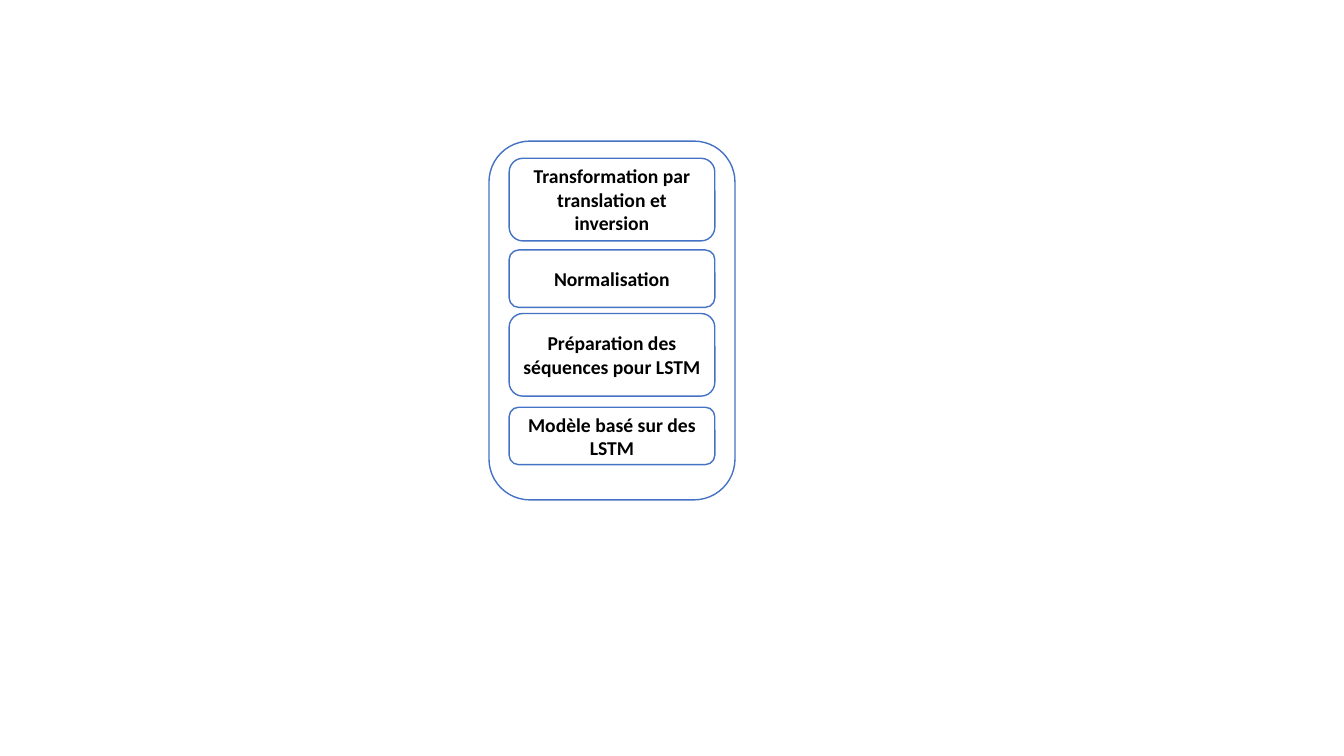
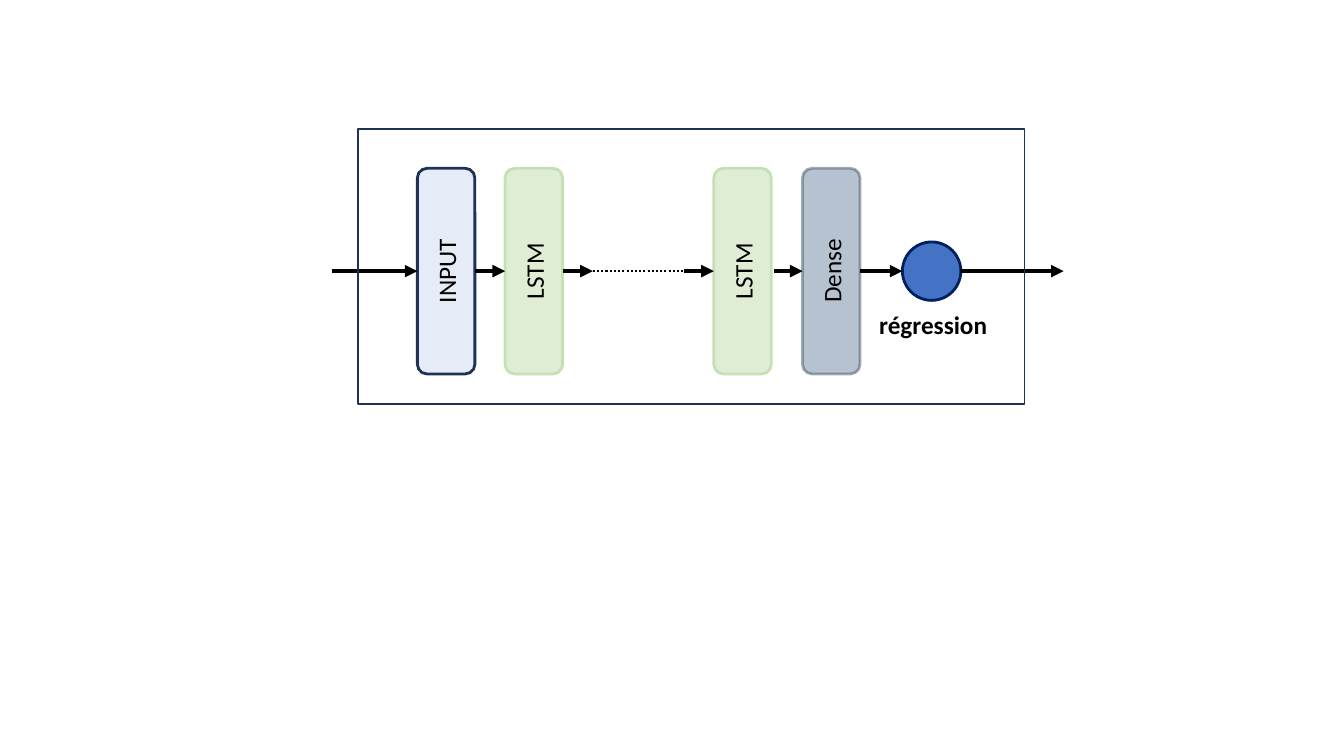
from dataclasses import dataclass

import lxml.etree
import pptx
import pptx.dml.color
import pptx.dml.fill
import pptx.enum.dml
import pptx.enum.shapes
import pptx.enum.text
import pptx.oxml.ns
import pptx.shapes.autoshape
import pptx.slide
import pptx.text.text
import pptx.util

EMU_PER_PX = 9144  # 100 px to the inch
FONT = "Calibri"
BLACK, BLUE, NAVY, DEEP_BLUE = "000000", "4472C4", "1E3256", "002060"
GREEN, GREY_BLUE, SLATE = "C5E0B4", "8497B0", "44546A"
LEFT_SIDE, RIGHT_SIDE = 1, 3
SHAPE = pptx.enum.shapes.MSO_SHAPE
CENTER = pptx.enum.text.PP_ALIGN.CENTER


@dataclass(frozen=True)
class Box:
    left: int
    top: int
    width: int
    height: int


@dataclass(frozen=True)
class Style:
    line: str
    line_pt: float = 1
    fill: str | None = None
    opacity: int = 100
    line_opacity: int = 100


@dataclass(frozen=True)
class Step:
    text: str
    top: int
    height: int


@dataclass(frozen=True)
class Layer:
    text: str
    left: int
    style: Style


@dataclass(frozen=True)
class Link:
    start: int
    end: int
    source: int | None = None  # index of the layer it leaves
    target: int | None = None  # index of the layer it reaches
    dotted: bool = False


# Shared drawing
def px(length: int) -> pptx.util.Emu:
    return pptx.util.Emu(length * EMU_PER_PX)


def add_xml(parent: lxml.etree.ElementBase, tag: str, **attributes: str) -> None:
    lxml.etree.SubElement(parent, pptx.oxml.ns.qn(tag), attributes)


def paint(fill: pptx.dml.fill.FillFormat, color: str, opacity: int = 100) -> None:
    fill.solid()
    fill.fore_color.rgb = pptx.dml.color.RGBColor.from_string(color)
    if opacity < 100:
        rgb = fill._xPr.find(".//" + pptx.oxml.ns.qn("a:srgbClr"))
        add_xml(rgb, "a:alpha", val=str(opacity * 1000))


def write(frame: pptx.text.text.TextFrame, text: str, size: int, bold: bool) -> None:
    frame.word_wrap = True
    paragraph = frame.paragraphs[0]
    paragraph.alignment = CENTER
    run = paragraph.add_run()
    run.text = text
    run.font.name = FONT
    run.font.size = pptx.util.Pt(size)
    run.font.bold = bold
    paint(run.font.fill, BLACK)


def add_outline(slide: pptx.slide.Slide, kind: pptx.enum.shapes.MSO_SHAPE,
                box: Box, style: Style) -> pptx.shapes.autoshape.Shape:
    shape = slide.shapes.add_shape(
        kind, px(box.left), px(box.top), px(box.width), px(box.height))
    shape.shadow.inherit = False
    if style.fill:
        paint(shape.fill, style.fill, style.opacity)
    else:
        shape.fill.background()
    shape.line.width = pptx.util.Pt(style.line_pt)
    paint(shape.line.fill, style.line, style.line_opacity)
    shape.text_frame.vertical_anchor = pptx.enum.text.MSO_ANCHOR.MIDDLE
    return shape


def add_link(slide: pptx.slide.Slide, link: Link, y: int,
             layers: list[pptx.shapes.autoshape.Shape]) -> None:
    connector = slide.shapes.add_connector(
        pptx.enum.shapes.MSO_CONNECTOR.STRAIGHT,
        px(link.start), px(y), px(link.end), px(y))
    if link.source is not None:
        connector.begin_connect(layers[link.source], RIGHT_SIDE)
    if link.target is not None:
        connector.end_connect(layers[link.target], LEFT_SIDE)
    paint(connector.line.fill, BLACK)
    if link.dotted:
        connector.line.width = pptx.util.Pt(1.5)
        connector.line.dash_style = pptx.enum.dml.MSO_LINE.ROUND_DOT
    else:
        connector.line.width = pptx.util.Pt(3)
        add_xml(connector.line._get_or_add_ln(), "a:tailEnd", type="triangle")
    add_xml(connector._element.spPr, "a:effectLst")


# Slide 1: processing steps
STEPS = [
    Step("Transformation par translation et inversion", 157, 82),
    Step("Normalisation", 248, 57),
    Step("Préparation des séquences pour LSTM", 311, 82),
    Step("Modèle basé sur des LSTM", 404, 57),
]


def build_pipeline(slide: pptx.slide.Slide) -> None:
    outline = Style(BLUE)
    add_outline(slide, SHAPE.ROUNDED_RECTANGLE, Box(485, 140, 244, 356), outline)
    for step in STEPS:
        box = Box(505, step.top, 204, step.height)
        shape = add_outline(slide, SHAPE.ROUNDED_RECTANGLE, box, outline)
        write(shape.text_frame, step.text, 14, True)


# Slide 2: network layers
AXIS_Y = 269
LAYER_WIDTH, LAYER_HEIGHT = 57, 204
NODE_SIZE = 58
LSTM_STYLE = Style(GREEN, 2, GREEN, 55)
LAYERS = [
    Layer("INPUT", 414, Style(NAVY, 2, BLUE, 13)),
    Layer("LSTM", 501, LSTM_STYLE),
    Layer("LSTM", 708, LSTM_STYLE),
    Layer("Dense", 796, Style(SLATE, 2, GREY_BLUE, 58, 50)),
]
LINKS = [
    Link(329, 414, target=0),
    Link(471, 501, source=0, target=1),
    Link(558, 588, source=1),
    Link(588, 678, dotted=True),
    Link(678, 708, target=2),
    Link(768, 796, target=3),
    Link(853, 895, source=3),
    Link(952, 1055),
]


def build_network(slide: pptx.slide.Slide) -> None:
    layers = []
    for layer in LAYERS:
        box = Box(layer.left, AXIS_Y - LAYER_HEIGHT // 2, LAYER_WIDTH, LAYER_HEIGHT)
        shape = add_outline(slide, SHAPE.ROUNDED_RECTANGLE, box, layer.style)
        write(shape.text_frame, layer.text, 18, False)
        shape.text_frame._txBody.bodyPr.set("vert", "vert270")
        layers.append(shape)

    # Output node and its label
    node = Box(895, AXIS_Y - NODE_SIZE // 2, NODE_SIZE, NODE_SIZE)
    add_outline(slide, SHAPE.OVAL, node, Style(DEEP_BLUE, 2, BLUE))
    label = slide.shapes.add_textbox(px(853), px(302), px(145), px(40))
    write(label.text_frame, "régression", 18, True)

    # Data flow and frame
    for link in LINKS:
        add_link(slide, link, AXIS_Y, layers)
    add_outline(slide, SHAPE.RECTANGLE, Box(355, 128, 661, 273), Style(NAVY))


def main() -> None:
    deck = pptx.Presentation()
    deck.slide_width, deck.slide_height = px(1333), px(750)
    blank = deck.slide_layouts[6]
    for build in (build_pipeline, build_network):
        build(deck.slides.add_slide(blank))
    deck.save("out.pptx")


if __name__ == "__main__":
    main()
